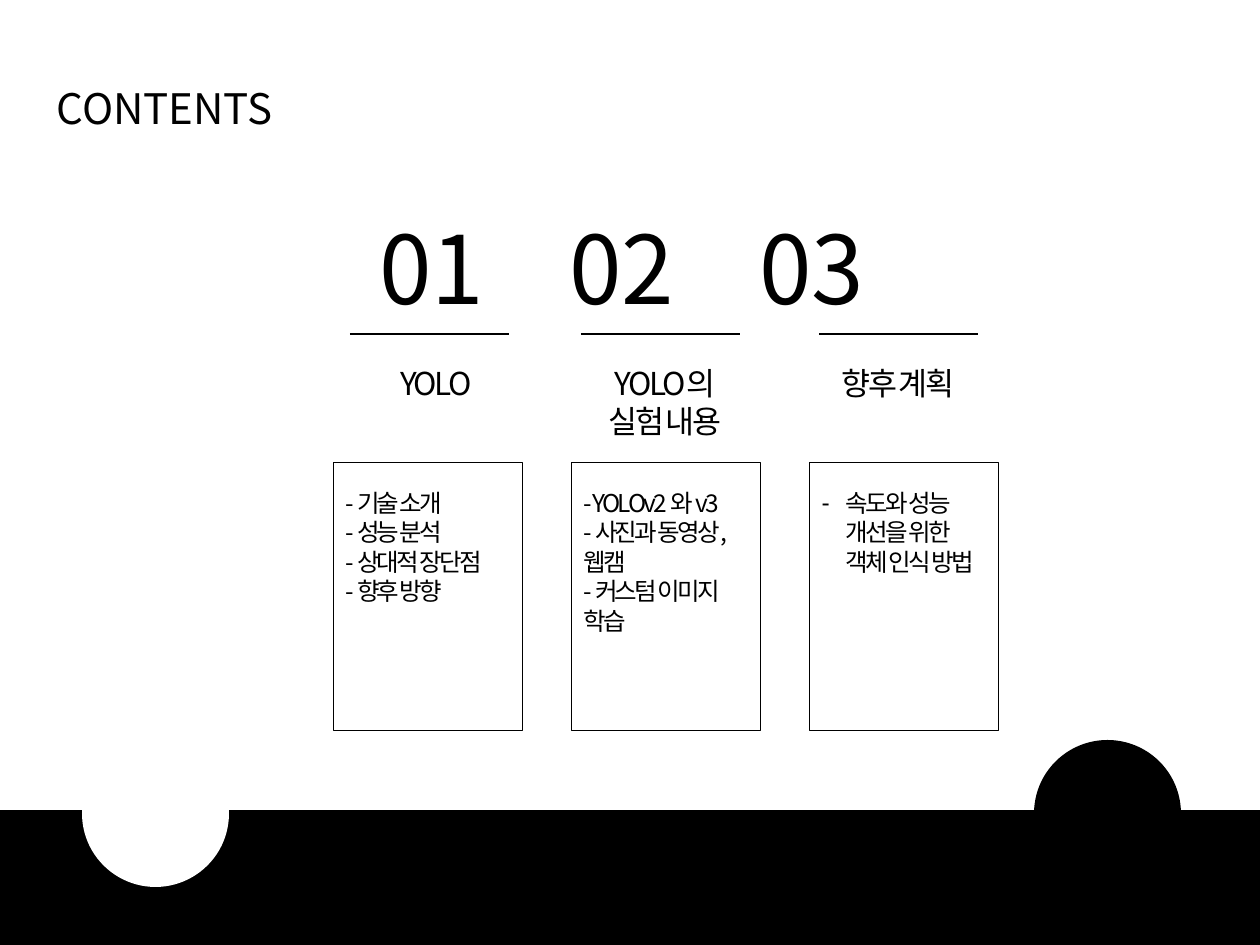
from pptx import Presentation
from pptx.dml.color import RGBColor
from pptx.enum.shapes import MSO_CONNECTOR, MSO_SHAPE
from pptx.enum.text import MSO_ANCHOR, MSO_AUTO_SIZE, PP_ALIGN
from pptx.oxml.ns import qn
from pptx.util import Emu, Pt
from lxml.etree import SubElement

BLACK = RGBColor(0, 0, 0)
WHITE = RGBColor(255, 255, 255)
FONT = "Noto Sans CJK KR"
LISTS = [
    ["- 기술 소개", "- 성능 분석", "- 상대적 장단점", "- 향후 방향"],
    ["- YOLOv2 와 v3", "- 사진과 동영상,웹캠", "- 커스텀 이미지 학습"],
    ["속도와 성능 개선을 위한 객체 인식 방법"],
]
HEADS = [(322, 228, ["YOLO"]), (551, 228, ["YOLO의", "실험 내용"]),
         (769, 258, ["향후 계획"])]


def px(n):
    """Turn pixels into EMU."""
    return Emu(round(n * 914400 / 126))


def place(shape, box):
    """Move a shape to a pixel box."""
    shape.left, shape.top, shape.width, shape.height = map(px, box)


def write(shape, lines, size, align=PP_ALIGN.LEFT, track=0, mark=None):
    """Fill a shape with one formatted run per paragraph."""
    frame = shape.text_frame
    frame.word_wrap = True
    frame.auto_size = MSO_AUTO_SIZE.NONE
    frame.vertical_anchor = MSO_ANCHOR.TOP
    for i, line in enumerate(lines):
        para = frame.add_paragraph() if i else frame.paragraphs[0]
        para.alignment = align
        para.space_before = Pt(0)
        props = para._p.get_or_add_pPr()
        inset = px(24) if mark else 0
        props.set("marL", str(inset))
        props.set("indent", str(-inset))
        if mark:
            SubElement(props, qn("a:buChar")).set("char", mark)
        else:
            SubElement(props, qn("a:buNone"))
        run = para.add_run()
        run.text = line
        font = run.font
        font.name, font.size, font.bold = FONT, Pt(size), False
        font.color.rgb = BLACK
        SubElement(font._element, qn("a:ea")).set("typeface", FONT)
        if track:
            font._element.set("spc", str(track))


def label(slide, box, lines, size, track=0):
    """Add a centred text box."""
    shape = slide.shapes.add_textbox(*map(px, box))
    write(shape, lines, size, PP_ALIGN.CENTER, track)


def title(slide, box):
    """Set the slide title."""
    shape = slide.shapes.title
    place(shape, box)
    write(shape, ["CONTENTS"], 24)


def rule(slide, x, y, wide):
    """Draw a thin level line."""
    line = slide.shapes.add_connector(
        MSO_CONNECTOR.STRAIGHT, px(x), px(y), px(x + wide), px(y))
    line.line.color.rgb = BLACK
    line.line.width = Pt(0.75)
    SubElement(line._element.spPr, qn("a:effectLst"))


def header(slide, left, top):
    """Add the numbers, rules and headings of the three parts."""
    for i, (x, wide, lines) in enumerate(HEADS):
        label(slide, (left + 190 * i, top, 190, 127), [f"0{i + 1}"], 54)
        rule(slide, (350, 581, 819)[i], top + 130, 159)
        label(slide, (x, top + 154, wide, 90), lines, 18, -150)


def panels(slide, box, pitch):
    """Place the three framed lists at an equal pitch."""
    left, top, wide, high = box
    for i, lines in enumerate(LISTS):
        shape = slide.placeholders[i + 1]
        place(shape, (left + pitch * i, top, wide, high))
        shape.fill.solid()
        shape.fill.fore_color.rgb = WHITE
        color = shape._element.spPr.find(qn("a:solidFill"))[0]
        SubElement(color, qn("a:alpha")).set("val", "80000")
        shape.line.color.rgb = BLACK
        shape.line.width = Pt(0.25)
        write(shape, lines, 14, track=-150, mark="-" if i == 2 else None)
        shape.text_frame.margin_top = px(26)


def solid(slide, kind, box, color):
    """Add a plain filled shape."""
    shape = slide.shapes.add_shape(kind, *map(px, box))
    shape.shadow.inherit = False
    shape.fill.solid()
    shape.fill.fore_color.rgb = color
    shape.line.fill.background()


def footer(slide, box):
    """Draw the band with its knob and its notch."""
    left, top, wide, high = box
    size = 147
    solid(slide, MSO_SHAPE.OVAL, (left + 1034, top - 70, size, size), BLACK)
    solid(slide, MSO_SHAPE.RECTANGLE, box, BLACK)
    solid(slide, MSO_SHAPE.OVAL, (left + 82, top - 70, size, size), WHITE)


def main():
    """Build and save the slide."""
    deck = Presentation()
    deck.slide_width, deck.slide_height = px(1260), px(945)
    slide = deck.slides.add_slide(deck.slide_layouts.get_by_name("Comparison"))
    title(slide, (44, 76, 576, 63))
    panels(slide, (333, 462, 189, 268), 238)
    spare = slide.placeholders[4]._element
    spare.getparent().remove(spare)
    header(slide, 337, 204)
    footer(slide, (0, 810, 1260, 135))
    deck.save("out.pptx")


if __name__ == "__main__":
    main()
